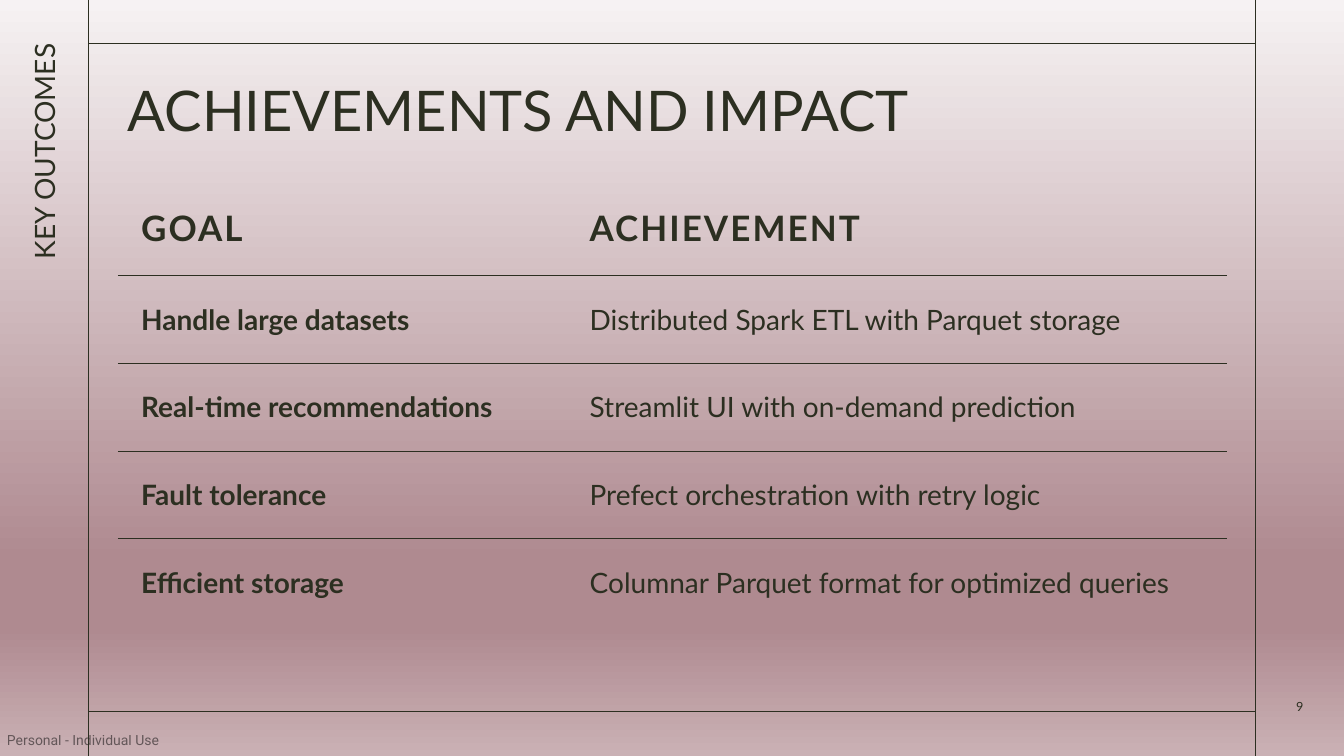
from lxml.etree import SubElement
from pptx import Presentation
from pptx.dml.color import RGBColor
from pptx.enum.shapes import MSO_CONNECTOR
from pptx.enum.text import MSO_ANCHOR, PP_ALIGN
from pptx.oxml.ns import qn
from pptx.util import Pt

COLORS = {"ink": "2C2F21", "label": "000000", "pale": "F6F2F3", "rose": "AF8A90", "blush": "CAB1B5"}
PLAIN_TABLE = "{2D5ABB26-0587-4C30-8999-92F81FD0307C}"
FRAME_LEFT, FRAME_RIGHT, FRAME_TOP, FRAME_BOTTOM = 63.4, 896.4, 31, 508.3
CONTENT_LEFT, CONTENT_WIDTH = 84.24, 792
GOALS = [
    ("GOAL", "ACHIEVEMENT"),
    ("Handle large datasets", "Distributed Spark ETL with Parquet storage"),
    ("Real-time recommendations", "Streamlit UI with on-demand prediction"),
    ("Fault tolerance", "Prefect orchestration with retry logic"),
    ("Efficient storage", "Columnar Parquet format for optimized queries"),
]


class SlideBuilder:
    def __init__(self, slide, font="Lato", ink="ink", line_width=0.5):
        self.slide, self.font, self.ink, self.line_width = slide, font, ink, line_width

    def background(self, stops):
        fill = self.slide.background.fill
        fill.gradient()
        gradient = fill.gradient_stops[0]._gs.getparent().getparent()
        for child in list(gradient):
            gradient.remove(child)
        stop_list = SubElement(gradient, qn("a:gsLst"))
        for position, color in stops:
            stop = SubElement(stop_list, qn("a:gs"), pos=str(position * 1000))
            SubElement(stop, qn("a:srgbClr"), val=COLORS[color])
        SubElement(gradient, qn("a:lin"), ang="5400000", scaled="0")

    def line(self, x1, y1, x2, y2):
        connector = self.slide.shapes.add_connector(
            MSO_CONNECTOR.STRAIGHT, Pt(x1), Pt(y1), Pt(x2), Pt(y2))
        connector.line.color.rgb = RGBColor.from_string(COLORS[self.ink])
        connector.line.width = Pt(self.line_width)
        SubElement(connector._element.spPr, qn("a:effectLst"))

    def span(self, para, text, size, color=None, font=None, bold=False, spacing=0, alpha=None):
        span = para.add_run()
        span.text = text
        span.font.size, span.font.bold = Pt(size), bold
        span.font.name = font or self.font
        span.font.color.rgb = RGBColor.from_string(COLORS[color or self.ink])
        if spacing:
            span.font._element.set("spc", str(int(spacing * 100)))
        if alpha:
            tint = span.font._element.find(qn("a:solidFill")).find(qn("a:srgbClr"))
            SubElement(tint, qn("a:alpha"), val=str(alpha * 1000))

    def text(self, left, top, width, height, text, size, align=PP_ALIGN.LEFT,
             anchor=MSO_ANCHOR.TOP, rotation=0, inset=True, **style):
        box = self.slide.shapes.add_textbox(Pt(left), Pt(top), Pt(width), Pt(height))
        box.rotation = rotation
        frame = box.text_frame
        frame.word_wrap, frame.vertical_anchor = True, anchor
        if not inset:
            frame.margin_left = frame.margin_right = frame.margin_top = frame.margin_bottom = 0
        para = frame.paragraphs[0]
        para.alignment = align
        self.span(para, text, size, **style)

    def border(self, cell, edge):
        line = SubElement(cell._tc.get_or_add_tcPr(), qn(f"a:{edge}"),
                          w=str(Pt(self.line_width)))
        fill = SubElement(line, qn("a:solidFill"))
        SubElement(fill, qn("a:srgbClr"), val=COLORS[self.ink])

    def table(self, left, top, widths, heights, rows, inset):
        table = self.slide.shapes.add_table(
            len(rows), len(widths), Pt(left), Pt(top), Pt(sum(widths)), Pt(sum(heights))).table
        table.horz_banding = False
        table._tbl.tblPr.find(qn("a:tableStyleId")).text = PLAIN_TABLE
        for column, width in zip(table.columns, widths):
            column.width = Pt(width)
        for r, (row, height) in enumerate(zip(rows, heights)):
            table.rows[r].height = Pt(height)
            for c, text in enumerate(row):
                cell = table.cell(r, c)
                cell.vertical_anchor = MSO_ANCHOR.MIDDLE
                cell.margin_left = cell.margin_right = Pt(inset)
                cell.margin_top = cell.margin_bottom = Pt(inset)
                # Rules run between rows only
                if r > 0:
                    self.border(cell, "lnT")
                if r < len(rows) - 1:
                    self.border(cell, "lnB")
                cell.fill.background()
                header = r == 0
                self.span(cell.text_frame.paragraphs[0], text, 25 if header else 20,
                          bold=header or c == 0, spacing=1.5 if header else 0)


def main():
    deck = Presentation()
    deck.slide_width, deck.slide_height = Pt(960), Pt(540)
    page = SlideBuilder(deck.slides.add_slide(deck.slide_layouts[6]))
    page.background([(0, "pale"), (74, "rose"), (83, "rose"), (100, "blush")])

    # Usage label
    page.text(5, 522.7, 109, 12.2, "Personal - Individual Use", 10,
              inset=False, color="label", font="Roboto", alpha=50)

    # Frame lines
    for x in (FRAME_LEFT, FRAME_RIGHT):
        page.line(x, 0, x, 540)
    for y in (FRAME_TOP, FRAME_BOTTOM):
        page.line(FRAME_LEFT, y, FRAME_RIGHT, y)

    # Title, side heading and page number
    page.text(CONTENT_LEFT, 50.4, CONTENT_WIDTH, 57.6, "ACHIEVEMENTS AND IMPACT", 40)
    page.text(-79.2, 120.2, 221, 28.8, "KEY OUTCOMES", 20, align=PP_ALIGN.RIGHT,
              anchor=MSO_ANCHOR.MIDDLE, rotation=270)
    page.text(911.5, 490.3, 33.8, 28.8, "9", 9, align=PP_ALIGN.CENTER, anchor=MSO_ANCHOR.MIDDLE)

    # Goals and achievements
    goal_width = 320.4
    page.table(CONTENT_LEFT, 128.6, [goal_width, CONTENT_WIDTH - goal_width],
               [68.2] + [62.64] * (len(GOALS) - 1), GOALS, inset=16.6)

    deck.save("out.pptx")


if __name__ == "__main__":
    main()
